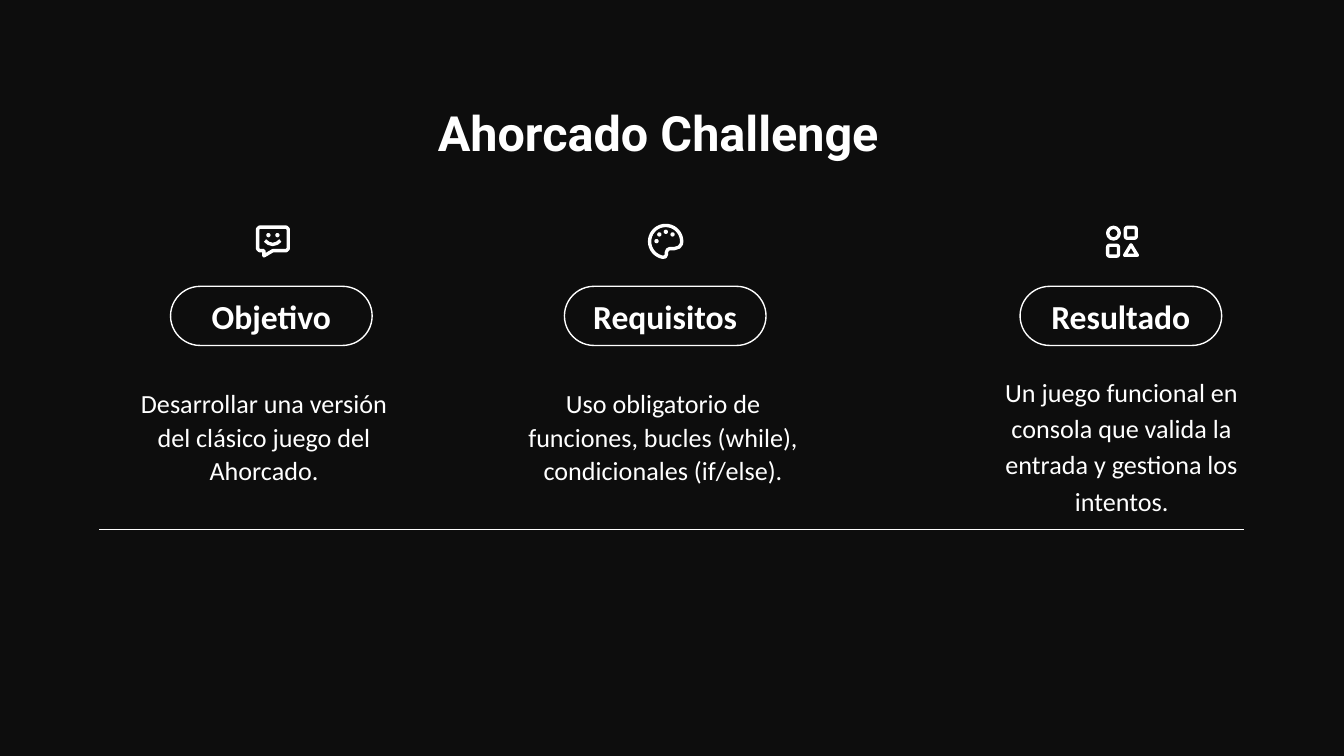
from dataclasses import dataclass
from math import cos, radians, sin

from lxml.etree import SubElement
from pptx import Presentation
from pptx.dml.color import RGBColor
from pptx.enum.shapes import MSO_CONNECTOR, MSO_SHAPE
from pptx.enum.text import MSO_ANCHOR, MSO_AUTO_SIZE, PP_ALIGN
from pptx.oxml.ns import qn
from pptx.shapes.base import BaseShape
from pptx.slide import Slide
from pptx.text.text import TextFrame
from pptx.util import Pt

WHITE = RGBColor(0xFF, 0xFF, 0xFF)
BLACK = RGBColor(0x0D, 0x0D, 0x0D)
INSET = Pt(7.2)
PILL_TOP, PILL_WIDTH, PILL_HEIGHT = 153.4, 108, 31.7
STROKE, DOT = 1.8, 2.3
Point = tuple[float, float]


@dataclass
class Outline:
    points: list[Point]
    closed: bool = True


@dataclass
class Preset:
    kind: MSO_SHAPE
    left: float
    top: float
    size: float


@dataclass
class Icon:
    outlines: list[Outline]
    dots: list[Point]
    presets: list[Preset]


@dataclass
class Column:
    heading: str
    description: str
    pill_left: float
    text_left: float
    text_top: float
    text_height: float
    line_spacing: float
    space_after: float
    icon: Icon


def arc(center: Point, radius: float, start: int, end: int, step: int) -> list[Point]:
    return [(center[0] + radius * cos(radians(angle)), center[1] + radius * sin(radians(angle)))
            for angle in range(start, end, step)]


BUBBLE = Icon(
    [Outline([(139, 121.7), (153.4, 121.7), (154.4, 122.7), (154.4, 133.3), (153.4, 134.3),
              (146.2, 134.3), (141.4, 137.1), (141.4, 134.3), (139, 134.3), (138, 133.3),
              (138, 122.7)]),
     Outline([(142, 128.9), (143.8, 130.4), (146.1, 131), (148.4, 130.4), (150.2, 128.9)], False)],
    [(143.8, 126), (148.6, 126)], [])
PALETTE = Icon(
    [Outline(arc((356.6, 129.4), 8.6, 0, -261, -10)
             + [(356.4, 137.6), (357, 136.4), (357, 135.2), (357.6, 133.8), (358.8, 133.2),
                (361.4, 133.2), (363.8, 132.4), (365, 130.8)])],
    [(351.7, 129.2), (353.2, 125.6), (356.7, 124.2), (360.3, 125.6)], [])
SHAPES = Icon(
    [Outline([(605.9, 131.2), (609.3, 136.8), (602.5, 136.8)])], [],
    [Preset(MSO_SHAPE.OVAL, 593.4, 121.8, 6.2),
     Preset(MSO_SHAPE.ROUNDED_RECTANGLE, 602.9, 121.8, 5.8),
     Preset(MSO_SHAPE.ROUNDED_RECTANGLE, 593.4, 131.4, 5.8)])

COLUMNS = [
    Column("Objetivo", "Desarrollar una versión del clásico juego del Ahorcado.",
           91.4, 61.2, 199.4, 84.2, 1.07, 8, BUBBLE),
    Column("Requisitos", "Uso obligatorio de funciones, bucles (while), condicionales (if/else).",
           302.4, 275, 199.4, 103, 1.07, 8, PALETTE),
    Column("Resultado",
           "Un juego funcional en consola que valida la entrada y gestiona los intentos.",
           546.5, 520.6, 192.2, 100, 1.15, 16, SHAPES),
]


def write(frame: TextFrame, text: str, font_name: str, size: float, bold: bool,
          anchor: MSO_ANCHOR = MSO_ANCHOR.TOP, **spacing) -> None:
    frame.text = text
    paragraph = frame.paragraphs[0]
    font = paragraph.runs[0].font
    font.color.rgb = WHITE
    formats = [
        (frame, {"word_wrap": True, "auto_size": MSO_AUTO_SIZE.NONE, "vertical_anchor": anchor,
                 "margin_left": INSET, "margin_right": INSET,
                 "margin_top": INSET, "margin_bottom": INSET}),
        (paragraph, {"alignment": PP_ALIGN.CENTER, **spacing}),
        (font, {"name": font_name, "size": Pt(size), "bold": bold}),
    ]
    for target, values in formats:
        for name, value in values.items():
            setattr(target, name, value)


def style_outline(shape: BaseShape, width: float) -> None:
    shape.shadow.inherit = False
    shape.fill.background()
    shape.line.color.rgb = WHITE
    shape.line.width = Pt(width)


def draw_icon(slide: Slide, icon: Icon) -> None:
    shapes = slide.shapes.add_group_shape().shapes
    for outline in icon.outlines:
        first, *rest = [(Pt(x), Pt(y)) for x, y in outline.points]
        builder = shapes.build_freeform(*first)
        builder.add_line_segments(rest, close=outline.closed)
        style_outline(builder.convert_to_shape(), STROKE)
    for preset in icon.presets:
        shape = shapes.add_shape(preset.kind, Pt(preset.left), Pt(preset.top),
                                 Pt(preset.size), Pt(preset.size))
        style_outline(shape, STROKE)
    for x, y in icon.dots:
        dot = shapes.add_shape(MSO_SHAPE.OVAL, Pt(x - DOT / 2), Pt(y - DOT / 2), Pt(DOT), Pt(DOT))
        dot.shadow.inherit = False
        dot.fill.solid()
        dot.fill.fore_color.rgb = WHITE
        dot.line.fill.background()


def draw_column(slide: Slide, column: Column) -> None:
    pill = slide.shapes.add_shape(MSO_SHAPE.ROUNDED_RECTANGLE, Pt(column.pill_left), Pt(PILL_TOP),
                                  Pt(PILL_WIDTH), Pt(PILL_HEIGHT))
    pill.adjustments[0] = 0.5
    style_outline(pill, 0.75)
    write(pill.text_frame, column.heading, "Calibri", 18, True, MSO_ANCHOR.MIDDLE)
    box = slide.shapes.add_textbox(Pt(column.text_left), Pt(column.text_top),
                                   Pt(160.6), Pt(column.text_height))
    write(box.text_frame, column.description, "Calibri", 14, False,
          line_spacing=column.line_spacing, space_after=Pt(column.space_after))
    draw_icon(slide, column.icon)


def draw_title(slide: Slide) -> None:
    title = slide.shapes.title
    position = {"left": 10.8, "top": 48.2, "width": 684, "height": 45.4}
    for name, value in position.items():
        setattr(title, name, Pt(value))
    write(title.text_frame, "Ahorcado Challenge", "Roboto", 26, True)


def draw_rule(slide: Slide) -> None:
    rule = slide.shapes.add_connector(MSO_CONNECTOR.STRAIGHT, Pt(53.3), Pt(283.7),
                                      Pt(666.7), Pt(283.7))
    rule.line.color.rgb = WHITE
    rule.line.width = Pt(0.75)
    SubElement(rule.element.spPr, qn("a:effectLst"))


def main() -> None:
    presentation = Presentation()
    presentation.slide_width, presentation.slide_height = Pt(720), Pt(405)
    slide = presentation.slides.add_slide(presentation.slide_layouts[5])
    slide.background.fill.solid()
    slide.background.fill.fore_color.rgb = BLACK
    draw_title(slide)
    for column in COLUMNS:
        draw_column(slide, column)
    draw_rule(slide)
    presentation.save("out.pptx")


if __name__ == "__main__":
    main()
